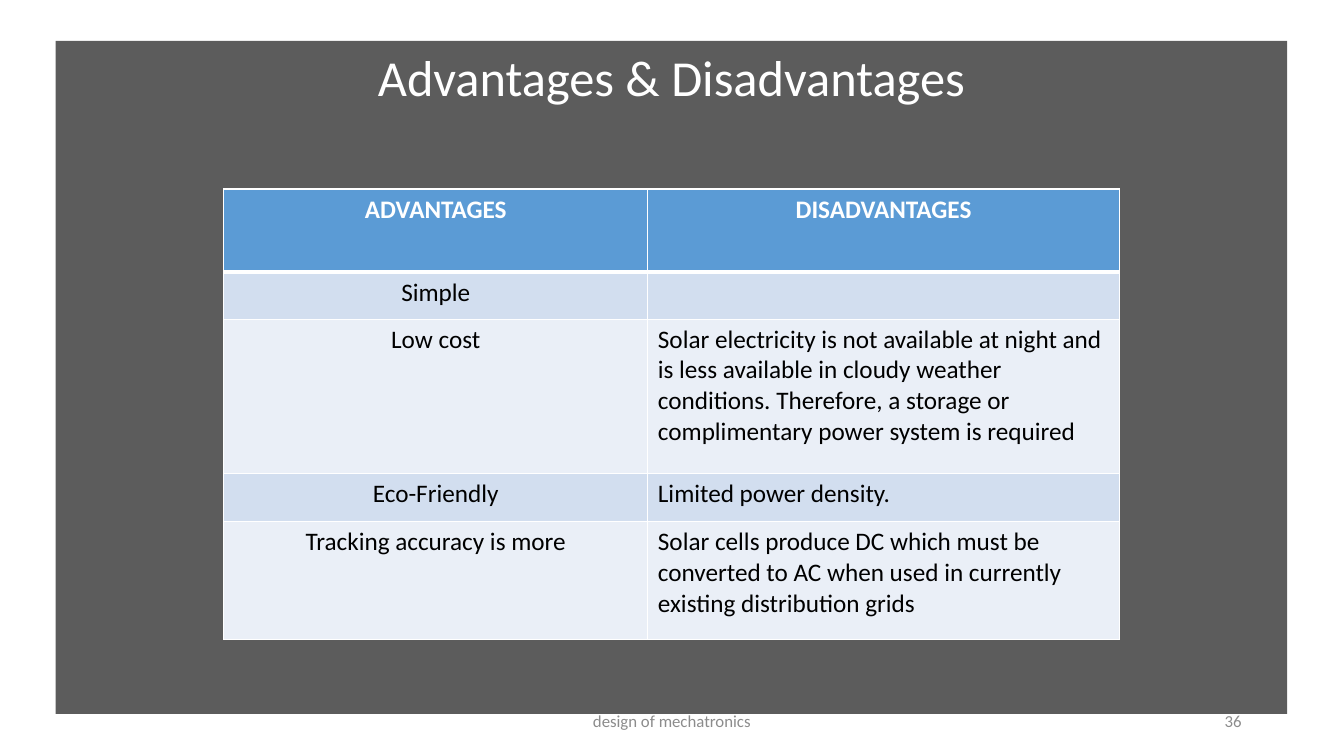
from lxml import etree
from pptx import Presentation
from pptx.dml.color import RGBColor
from pptx.enum.shapes import MSO_SHAPE
from pptx.enum.text import MSO_ANCHOR, PP_ALIGN
from pptx.oxml.ns import qn
from pptx.util import Emu, Pt

PX = 9525
RECTANGLE = MSO_SHAPE.RECTANGLE
TOP, MIDDLE = MSO_ANCHOR.TOP, MSO_ANCHOR.MIDDLE
LEFT, CENTER, RIGHT = PP_ALIGN.LEFT, PP_ALIGN.CENTER, PP_ALIGN.RIGHT

FONT = "Calibri"
WHITE, BLACK, GRAY = "FFFFFF", "000000", "8C8C8C"
HEADER_FILL = "5B9BD5"
BAND_FILLS = ["EAEFF7", "D2DEEF"]
COLUMN_WIDTHS = [404, 449]
ROW_HEIGHTS = [79, 45, 147, 46, 112]
COMPARISON = [
    ("ADVANTAGES", "DISADVANTAGES"),
    ("Simple", ""),
    ("Low cost", "Solar electricity is not available at night and is less available in "
     "cloudy weather conditions. Therefore, a storage or complimentary power system is required"),
    ("Eco-Friendly", "Limited power density."),
    ("Tracking accuracy is more", "Solar cells produce DC which must be converted to AC "
     "when used in currently existing distribution grids"),
]


def px(*lengths):
    """Convert pixel lengths to EMU."""
    return [Emu(length * PX) for length in lengths]


def paint(fill, color):
    """Make a fill solid in a hex colour."""
    fill.solid()
    fill.fore_color.rgb = RGBColor.from_string(color)


def write(frame, text, size, color, align, bold=False):
    """Put one styled paragraph into a text frame."""
    frame.word_wrap = True
    paragraph = frame.paragraphs[0]
    paragraph.text = text
    paragraph.alignment = align
    font = paragraph.font
    font.name, font.size, font.bold = FONT, Pt(size), bold
    font.color.rgb = RGBColor.from_string(color)


def add_title_panel(slide, box, title):
    """Draw the translucent dark panel with the title at its top."""
    panel = slide.shapes.add_shape(RECTANGLE, *px(*box))
    panel.shadow.inherit = False
    panel.line.fill.background()
    paint(panel.fill, BLACK)
    shade = panel.fill._xPr.find(qn("a:solidFill"))[0]
    etree.SubElement(shade, qn("a:alpha"), val="64000")
    panel.text_frame.vertical_anchor = TOP
    write(panel.text_frame, title, 36, WHITE, CENTER)


def set_borders(cell, top, bottom):
    """Give a cell white borders, with top and bottom widths in points."""
    properties = cell._tc.get_or_add_tcPr()
    widths = {"lnL": 1, "lnR": 1, "lnT": top, "lnB": bottom}
    for position, (side, width) in enumerate(widths.items()):
        border = etree.Element(qn(f"a:{side}"), w=str(Pt(width)))
        solid = etree.SubElement(border, qn("a:solidFill"))
        etree.SubElement(solid, qn("a:srgbClr"), val=WHITE)
        properties.insert(position, border)


def add_comparison(slide, left, top):
    """Build the table of advantages and disadvantages."""
    size = sum(COLUMN_WIDTHS), sum(ROW_HEIGHTS)
    table = slide.shapes.add_table(
        len(ROW_HEIGHTS), len(COLUMN_WIDTHS), *px(left, top, *size)).table
    for column, width in zip(table.columns, px(*COLUMN_WIDTHS)):
        column.width = width
    for row, height in zip(table.rows, px(*ROW_HEIGHTS)):
        row.height = height
    for r, entries in enumerate(COMPARISON):
        header = r == 0
        for c, entry in enumerate(entries):
            cell = table.cell(r, c)
            paint(cell.fill, HEADER_FILL if header else BAND_FILLS[r % 2])
            set_borders(cell, 3 if r == 1 else 1, 3 if header else 1)
            write(cell.text_frame, entry, 18, WHITE if header else BLACK,
                  CENTER if header or c == 0 else LEFT, header)


def add_footer(slide, box, text, align):
    """Add a small gray footer text."""
    frame = slide.shapes.add_textbox(*px(*box)).text_frame
    frame.vertical_anchor = MIDDLE
    write(frame, text, 12, GRAY, align)


def main():
    """Build and save the slide."""
    deck = Presentation()
    deck.slide_width, deck.slide_height = px(1280, 720)
    slide = deck.slides.add_slide(deck.slide_layouts[6])
    add_title_panel(slide, (53, 39, 1173, 641), "Advantages & Disadvantages")
    add_comparison(slide, 213, 180)
    add_footer(slide, (424, 667, 432, 38), "design of mechatronics", CENTER)
    add_footer(slide, (904, 667, 288, 38), "36", RIGHT)
    deck.save("out.pptx")


if __name__ == "__main__":
    main()
